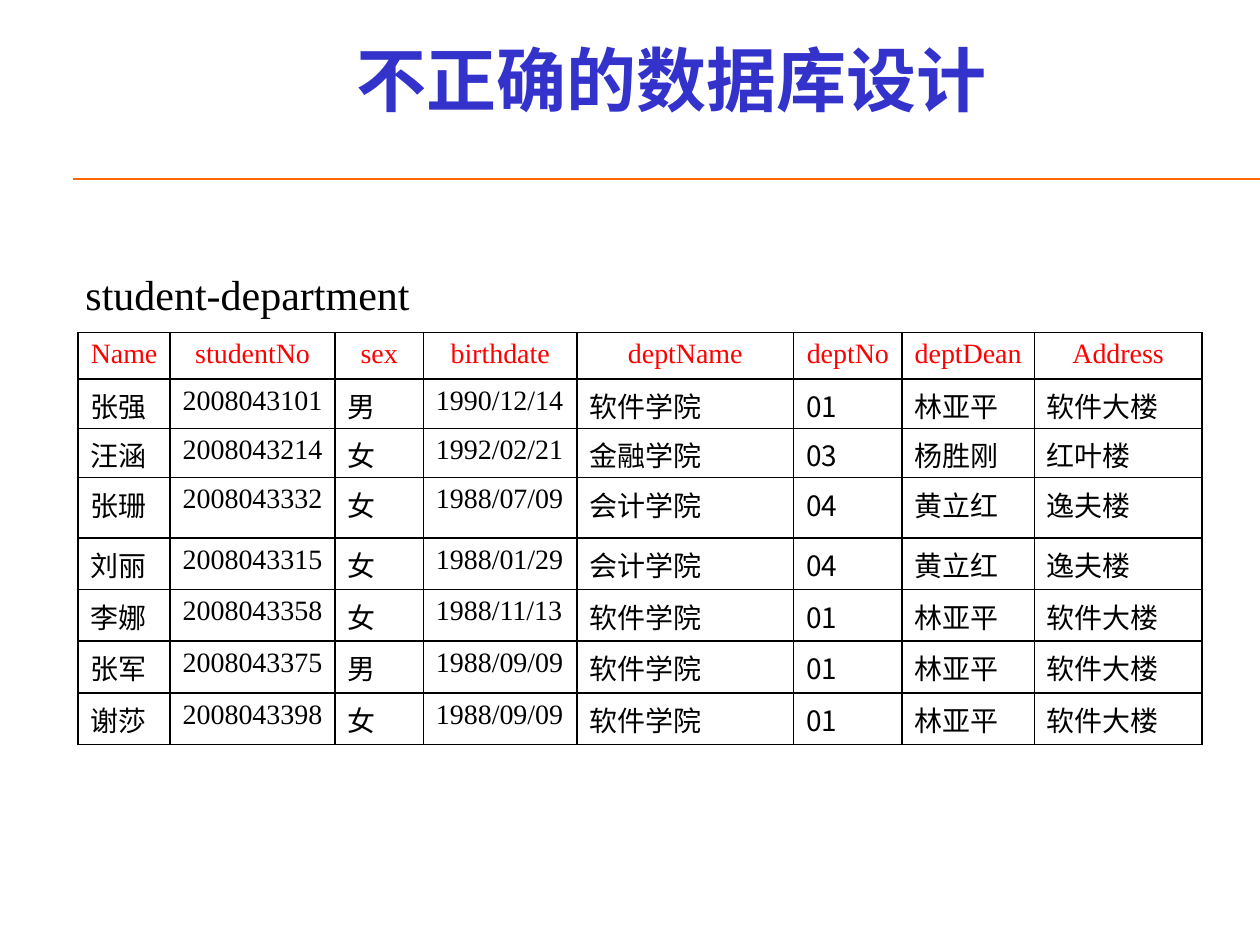
import pptx
import pptx.util
import pptx.dml.color
import pptx.enum.shapes
import pptx.enum.text
import pptx.oxml.ns
from lxml import etree

Inches = pptx.util.Inches
Pt = pptx.util.Pt
qn = pptx.oxml.ns.qn
ALIGN = pptx.enum.text.PP_ALIGN

COLORS = {"title": "3333CC", "rule": "FF6600", "header": "FF0000", "text": "000000"}
SANS = "Noto Sans CJK SC"
SERIF = "Times New Roman"

COL_WIDTHS = [0.73, 1.31, 0.7, 1.22, 1.72, 0.86, 1.05, 1.33]
ROW_HEIGHTS = [0.37, 0.39, 0.39, 0.48, 0.41, 0.41, 0.41, 0.41]
SERIF_COLUMNS = 4
HEADERS = ["Name", "studentNo", "sex", "birthdate",
           "deptName", "deptNo", "deptDean", "Address"]
DEPARTMENTS = {
    "01": ["软件学院", "01", "林亚平", "软件大楼"],
    "03": ["金融学院", "03", "杨胜刚", "红叶楼"],
    "04": ["会计学院", "04", "黄立红", "逸夫楼"],
}
STUDENTS = [
    ("张强", "2008043101", "男", "1990/12/14", "01"),
    ("汪涵", "2008043214", "女", "1992/02/21", "03"),
    ("张珊", "2008043332", "女", "1988/07/09", "04"),
    ("刘丽", "2008043315", "女", "1988/01/29", "04"),
    ("李娜", "2008043358", "女", "1988/11/13", "01"),
    ("张军", "2008043375", "男", "1988/09/09", "01"),
    ("谢莎", "2008043398", "女", "1988/09/09", "01"),
]


def rgb(name):
    """Return the named colour."""
    return pptx.dml.color.RGBColor.from_string(COLORS[name])


def format_paragraph(p, size, font, color, align=ALIGN.LEFT, bold=False):
    """Set the alignment of a paragraph and the font of its runs."""
    p.alignment = align
    for r in p.runs:
        r.font.size = Pt(size)
        r.font.name = font
        r.font.bold = bold
        r.font.color.rgb = rgb(color)
        etree.SubElement(r.font._element, qn("a:ea"), typeface=SANS)


def add_text(s, text, box, size, font, color, **style):
    """Add a vertically centred text box."""
    sp = s.shapes.add_textbox(*map(Inches, box))
    tf = sp.text_frame
    tf.word_wrap = True
    tf.vertical_anchor = pptx.enum.text.MSO_ANCHOR.MIDDLE
    tf.text = text
    format_paragraph(tf.paragraphs[0], size, font, color, **style)


def add_rule(s, left, right, y):
    """Add the thin horizontal line under the title."""
    line = s.shapes.add_connector(
        pptx.enum.shapes.MSO_CONNECTOR.STRAIGHT,
        Inches(left), Inches(y), Inches(right), Inches(y))
    line.line.color.rgb = rgb("rule")
    line.line.width = Pt(0.75)
    etree.SubElement(line._element.spPr, qn("a:effectLst"))


def set_borders(cell):
    """Draw a thin border on all four sides of a cell."""
    tcPr = cell._tc.get_or_add_tcPr()
    for i, side in enumerate(("lnL", "lnR", "lnT", "lnB")):
        ln = etree.Element(qn("a:" + side), w=str(Pt(1)))
        fill = etree.SubElement(ln, qn("a:solidFill"))
        etree.SubElement(fill, qn("a:srgbClr"), val=COLORS["text"])
        tcPr.insert(i, ln)


def fill_cell(cell, text, font, color, align):
    """Write one table cell without fill."""
    cell.text = text
    cell.fill.background()
    set_borders(cell)
    p = cell.text_frame.paragraphs[0]
    format_paragraph(p, 16, font, color, align)
    spacing = etree.SubElement(p._p.get_or_add_pPr(), qn("a:spcBef"))
    etree.SubElement(spacing, qn("a:spcPct"), val="10000")


def add_student_table(s, left, top):
    """Add the table that joins students with their departments."""
    rows = [HEADERS] + [[*st[:-1], *DEPARTMENTS[st[-1]]] for st in STUDENTS]
    table = s.shapes.add_table(
        len(rows), len(HEADERS), Inches(left), Inches(top),
        Inches(sum(COL_WIDTHS)), Inches(sum(ROW_HEIGHTS))).table
    table.first_row = table.horz_banding = False
    for column, width in zip(table.columns, COL_WIDTHS):
        column.width = Inches(width)
    for i, values in enumerate(rows):
        table.rows[i].height = Inches(ROW_HEIGHTS[i])
        for j, text in enumerate(values):
            header = i == 0
            font = SERIF if header or j < SERIF_COLUMNS else SANS
            fill_cell(table.cell(i, j), text, font,
                      "header" if header else "text",
                      ALIGN.CENTER if header else ALIGN.LEFT)


def main():
    """Build and save the slide."""
    prs = pptx.Presentation()
    prs.slide_width, prs.slide_height = Inches(10), Inches(7.5)
    s = prs.slides.add_slide(prs.slide_layouts[6])
    add_rule(s, 0.58, 10, 1.42)
    add_text(s, "不正确的数据库设计", (1.08, 0, 8.5, 1.25), 40, SANS, "title",
             align=ALIGN.CENTER, bold=True)
    add_student_table(s, 0.62, 2.64)
    add_text(s, "student-department", (0.58, 2.08, 3.25, 0.5), 24, SERIF, "text")
    prs.save("out.pptx")


if __name__ == "__main__":
    main()
